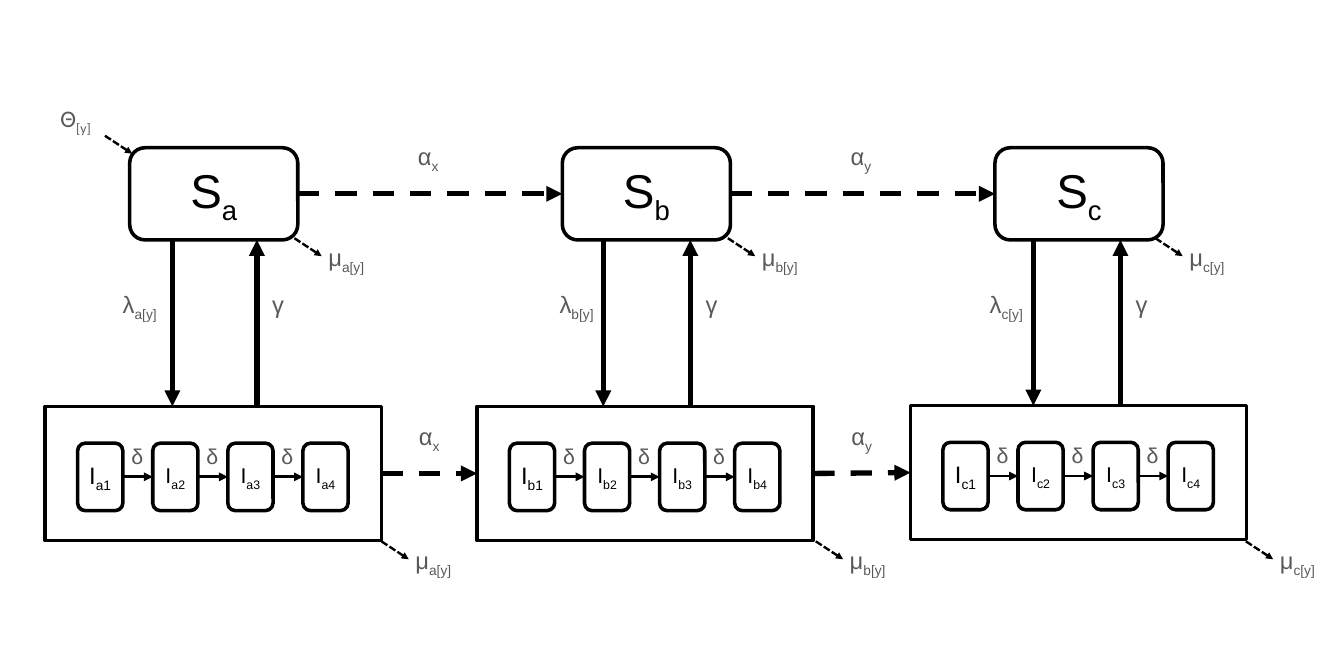
import dataclasses
import typing

import lxml.etree
import pptx
import pptx.dml.color
import pptx.enum.dml
import pptx.enum.shapes
import pptx.enum.text
import pptx.oxml.ns
import pptx.util

SCALE = 9144  # EMU in one px, 100 px to the inch
BLACK, GREY = "000000", "595959"
ROUND = pptx.enum.shapes.MSO_SHAPE.ROUNDED_RECTANGLE
RECT = pptx.enum.shapes.MSO_SHAPE.RECTANGLE
DASH = pptx.enum.dml.MSO_LINE.DASH
DOTS = pptx.enum.dml.MSO_LINE.SQUARE_DOT
TOP, LEFT, BOTTOM, RIGHT = range(4)


@dataclasses.dataclass
class Column:
    key: str
    state: int  # left of the S box
    group: int  # left of the I group
    top: int  # top of the I group
    down: int  # x of the infection arrow
    up: int  # x of the recovery arrow
    rate: int  # left of the λ label
    leave: int  # x where deaths leave S
    exit: int  # x where deaths leave I


@dataclasses.dataclass
class Label:
    main: str
    sub: str = ""
    size: int = 20
    color: str = GREY
    face: str = "Arial"


@dataclasses.dataclass
class Stroke:
    width: float
    dash: typing.Any = None


THICK, LONG = Stroke(4.5), Stroke(4.5, DASH)
THIN, SHORT = Stroke(2.5), Stroke(2, DOTS)

COLUMNS = [
    Column("a", 152, 53, 476, 202, 301, 134, 345, 447),
    Column("b", 659, 559, 476, 707, 809, 646, 853, 956),
    Column("c", 1166, 1067, 475, 1211, 1313, 1150, 1354, 1460),
]


def px(count: int) -> pptx.util.Emu:
    return pptx.util.Emu(count * SCALE)


def rgb(color: str) -> pptx.dml.color.RGBColor:
    return pptx.dml.color.RGBColor.from_string(color)


def apply(target: typing.Any, values: dict) -> None:
    for name, value in values.items():
        setattr(target, name, value)


def write(frame: typing.Any, label: Label, form: dict, align: typing.Any) -> None:
    apply(frame, form)
    para = frame.paragraphs[0]
    para.alignment = align
    for text, shift in ((label.main, 0), (label.sub, -25000)):
        if not text:
            continue
        run = para.add_run()
        run.text = text
        apply(run.font, {"size": pptx.util.Pt(label.size), "name": label.face})
        run.font.color.rgb = rgb(label.color)
        if shift:
            run._r.get_or_add_rPr().set("baseline", str(shift))


def box(shapes: typing.Any, kind: typing.Any, left: int, top: int, wide: int,
        high: int, label: typing.Optional[Label] = None) -> typing.Any:
    shape = shapes.add_shape(kind, px(left), px(top), px(wide), px(high))
    shape.shadow.inherit = False
    shape.fill.background()
    shape.line.color.rgb = rgb(BLACK)
    shape.line.width = pptx.util.Pt(3)
    if label:
        form = {"vertical_anchor": pptx.enum.text.MSO_ANCHOR.MIDDLE, "word_wrap": True}
        write(shape.text_frame, label, form, pptx.enum.text.PP_ALIGN.CENTER)
    return shape


def note(shapes: typing.Any, left: int, top: int, wide: int, label: Label) -> None:
    area = shapes.add_textbox(px(left), px(top), px(wide), px(44))
    form = {"word_wrap": False, "auto_size": pptx.enum.text.MSO_AUTO_SIZE.SHAPE_TO_FIT_TEXT}
    write(area.text_frame, label, form, pptx.enum.text.PP_ALIGN.LEFT)


def arrow(shapes: typing.Any, x1: int, y1: int, x2: int, y2: int,
          stroke: Stroke) -> typing.Any:
    line = shapes.add_connector(pptx.enum.shapes.MSO_CONNECTOR.STRAIGHT,
                                px(x1), px(y1), px(x2), px(y2))
    line.line.color.rgb = rgb(BLACK)
    apply(line.line, {"width": pptx.util.Pt(stroke.width), "dash_style": stroke.dash})
    tail = lxml.etree.SubElement(line.line._get_or_add_ln(), pptx.oxml.ns.qn("a:tailEnd"))
    tail.set("type", "triangle")
    lxml.etree.SubElement(line._element.spPr, pptx.oxml.ns.qn("a:effectLst"))
    return line


def link(shapes: typing.Any, start: typing.Any, end: typing.Any, stroke: Stroke) -> None:
    line = arrow(shapes, 0, 0, 0, 0, stroke)
    line.begin_connect(start, RIGHT)
    line.end_connect(end, LEFT)


def stages(shapes: typing.Any, col: Column) -> typing.Any:
    """Draw the infected group with its chain of four stages."""
    group = box(shapes, RECT, col.group, col.top, 394, 157)
    last = None
    for index in range(4):
        left = col.group + 38 + 88 * index
        label = Label("I", f"{col.key}{index + 1}", 18 if index else 20, BLACK)
        cell = box(shapes, ROUND, left, col.top + 43, 53, 79, label)
        if last:
            link(shapes, last, cell, THIN)
            note(shapes, left - 35, col.top + 38, 36, Label("δ", size=18))
        last = cell
    return group


def flows(shapes: typing.Any, col: Column) -> None:
    """Draw infection, recovery and deaths of one column."""
    sub = f"{col.key}[y]"
    arrow(shapes, col.down, 281, col.down, col.top, THICK)
    arrow(shapes, col.up, col.top, col.up, 281, THICK)
    note(shapes, col.rate, 334, 64, Label("λ", sub))
    note(shapes, col.up + 8, 335, 35, Label("γ"))
    for left, top in ((col.leave, 279), (col.exit, 634)):
        arrow(shapes, left, top, left + 32, top + 21, SHORT)
        note(shapes, left + 30, top, 66, Label("μ", sub))


def main() -> None:
    deck = pptx.Presentation()
    apply(deck, {"slide_width": px(1575), "slide_height": px(787)})
    shapes = deck.slides.add_slide(deck.slide_layouts[6]).shapes

    # Columns a, b and c
    states, groups = [], []
    for col in COLUMNS:
        states.append(box(shapes, ROUND, col.state, 173, 197, 108,
                          Label("S", col.key, 40, BLACK)))
        groups.append(stages(shapes, col))
        flows(shapes, col)

    # Ageing between neighbouring columns
    for row, left, top in ((states, 480, 161), (groups, 481, 489)):
        for index, sub in enumerate("xy"):
            link(shapes, row[index], row[index + 1], LONG)
            note(shapes, left + 507 * index, top, 46, Label("α", sub))

    # Births into the first column
    arrow(shapes, 123, 159, 155, 180, SHORT)
    note(shapes, 61, 117, 59, Label("Θ", "[y]", face="Calibri"))

    deck.save("out.pptx")


if __name__ == "__main__":
    main()
